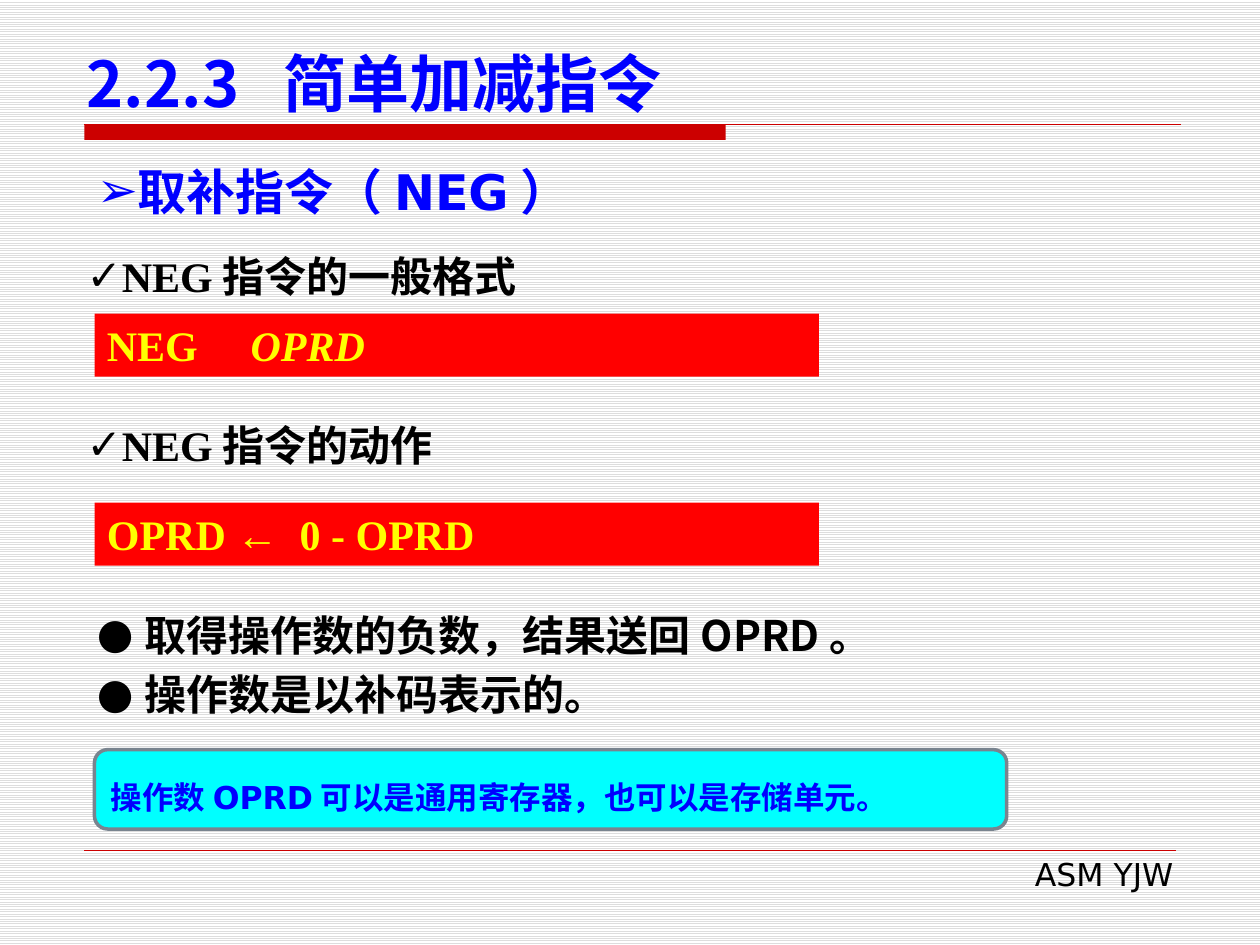
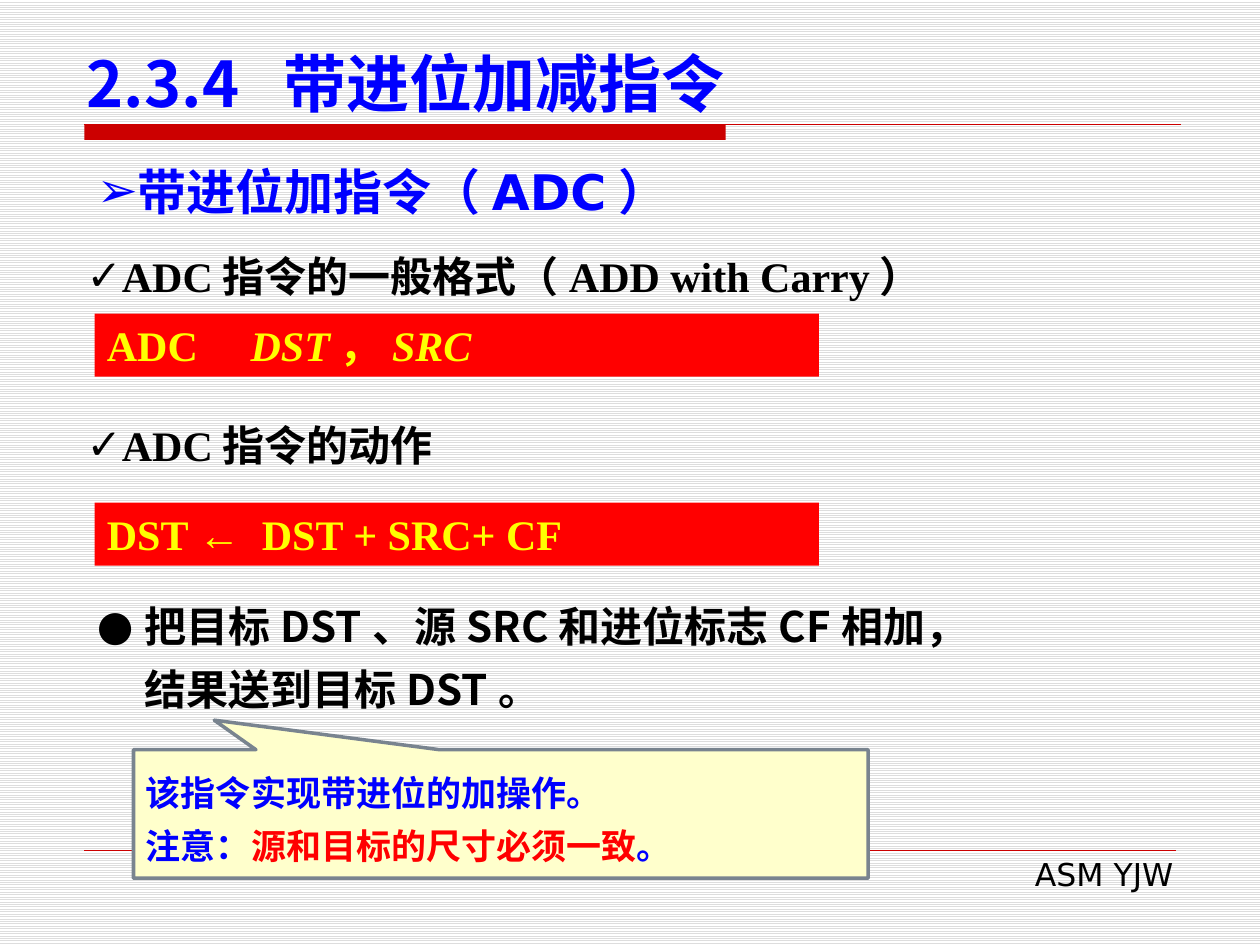
import pptx
import pptx.dml.color
import pptx.enum.dml
import pptx.enum.shapes
import pptx.enum.text
import pptx.oxml.ns
import pptx.util
from dataclasses import dataclass
from lxml import etree


@dataclass(frozen=True)
class Theme:
    blue: str = "0000FF"
    red: str = "FF0000"
    band: str = "CC0000"
    yellow: str = "FFFF00"
    cyan: str = "00FFFF"
    cream: str = "FFFFCC"
    outline: str = "79848F"
    black: str = "000000"
    stripe: str = "DDDDDD"
    white: str = "FFFFFF"
    sans: str = "DejaVu Sans"
    serif: str = "Times New Roman"
    cjk: str = "Noto Sans CJK SC"
    title: int = 36
    topic: int = 28
    body: int = 24
    callout: int = 20
    note: int = 18


theme = Theme()
rgb = pptx.dml.color.RGBColor.from_string
qn = pptx.oxml.ns.qn
Pt = pptx.util.Pt
SHAPE = pptx.enum.shapes.MSO_SHAPE
ALIGN = pptx.enum.text.PP_ALIGN
ANCHOR = pptx.enum.text.MSO_ANCHOR

# Grid of 10 columns by 7.5 rows
deck = pptx.Presentation()
deck.slide_width = pptx.util.Inches(10)
deck.slide_height = pptx.util.Inches(7.5)
COLUMN = deck.slide_width / 10
ROW = deck.slide_height / 7.5


def add_block(slide, area, shape=None, fill=None, outline=None, anchor=ANCHOR.TOP):
    """Place a text box or a filled shape on the grid."""
    left, top, width, height = area
    box = [int(left * COLUMN), int(top * ROW), int(width * COLUMN), int(height * ROW)]
    if shape is None:
        block = slide.shapes.add_textbox(*box)
    else:
        block = slide.shapes.add_shape(shape, *box)
        block.shadow.inherit = False
        block.fill.solid()
        block.fill.fore_color.rgb = rgb(fill)
        if outline:
            block.line.color.rgb = rgb(outline)
            block.line.width = Pt(2)
        else:
            block.line.fill.background()
    block.text_frame.word_wrap = True
    block.text_frame.vertical_anchor = anchor
    return block


def write(block, paragraphs, size, font, color, bold=True, align=ALIGN.LEFT,
          bullet=None, indent=0, tab=None, leading=None, gap=0):
    """Fill a block; each paragraph is a list of (text, run settings)."""
    frame = block.text_frame
    for number, pieces in enumerate(paragraphs):
        paragraph = frame.add_paragraph() if number else frame.paragraphs[0]
        paragraph.text = pieces[0][0]
        for text, _ in pieces[1:]:
            paragraph.add_run().text = text
        paragraph.alignment = align
        if leading:
            paragraph.line_spacing = Pt(leading)
        if number and gap:
            paragraph.space_before = Pt(gap)
        properties = paragraph._p.get_or_add_pPr()
        if bullet:
            properties.set("marL", str(int(indent * COLUMN)))
            properties.set("indent", str(-int(indent * COLUMN)))
            etree.SubElement(properties, qn("a:buFont"), typeface=theme.sans)
            etree.SubElement(properties, qn("a:buChar"), char=bullet)
        if tab:
            stops = etree.SubElement(properties, qn("a:tabLst"))
            etree.SubElement(stops, qn("a:tab"), pos=str(int(tab * COLUMN)), algn="l")
        # A line break splits the first piece into runs with equal settings
        extra = len(paragraph.runs) - len(pieces)
        settings = [pieces[0][1]] * extra + [setting for _, setting in pieces]
        for run, setting in zip(paragraph.runs, settings):
            run.font.size = Pt(size)
            run.font.name = font
            run.font.bold = bold
            run.font.italic = setting.get("italic", False)
            run.font.color.rgb = rgb(setting.get("color", color))
            etree.SubElement(run._r.get_or_add_rPr(), qn("a:ea"), typeface=theme.cjk)


ITALIC = {"italic": True}
lessons = [
    {
        "title": "2.2.3\t简单加减指令",
        "topic": "取补指令（NEG）",
        "format": "NEG指令的一般格式",
        "syntax": [("NEG\t", {}), ("OPRD", ITALIC)],
        "action": "NEG指令的动作",
        "effect": "OPRD ←\t0 - OPRD",
        "effect_tab": 1.53,
        "details": ["取得操作数的负数，结果送回OPRD。", "操作数是以补码表示的。"],
        "details_area": (0.67, 4.77, 9.08, 0.99),
        "details_leading": 30,
        "remark": [[("操作数OPRD可以是通用寄存器，也可以是存储单元。", {})]],
        "remark_area": (0.75, 5.95, 7.24, 0.63),
        "remark_look": (SHAPE.ROUNDED_RECTANGLE, theme.cyan, theme.note),
        "pointer": [],
    },
    {
        "title": "2.3.4\t带进位加减指令",
        "topic": "带进位加指令（ADC）",
        "format": "ADC指令的一般格式（ADD with Carry）",
        "syntax": [("ADC\t", {}), ("DST", ITALIC), ("，", {}), ("SRC", ITALIC)],
        "action": "ADC指令的动作",
        "effect": "DST ←\tDST + SRC+ CF",
        "effect_tab": 1.23,
        "details": ["把目标DST、源SRC和进位标志CF相加，\v结果送到目标DST。"],
        "details_area": (0.67, 4.62, 9.08, 1.11),
        "details_leading": 36,
        "remark": [
            [("该指令实现带进位的加操作。", {})],
            [("注意：", {}), ("源和目标的尺寸必须一致", {"color": theme.red}), ("。", {})],
        ],
        "remark_area": (1.06, 5.95, 5.83, 1.02),
        "remark_look": (SHAPE.RECTANGULAR_CALLOUT, theme.cream, theme.callout),
        "pointer": [-0.39, -0.73],
    },
]

for lesson in lessons:
    slide = deck.slides.add_slide(deck.slide_layouts[6])

    # Striped background
    stripes = slide.background.fill
    stripes.patterned()
    stripes.pattern = pptx.enum.dml.MSO_PATTERN.LIGHT_HORIZONTAL
    stripes.fore_color.rgb = rgb(theme.stripe)
    stripes.back_color.rgb = rgb(theme.white)

    # Title band, title rule and footer rule
    add_block(slide, (0.67, 0.99, 5.09, 0.12), SHAPE.RECTANGLE, theme.band)
    for end, level, weight in [(9.37, 0.99, 0.75), (9.33, 6.75, 0.25)]:
        rule = slide.shapes.add_connector(
            pptx.enum.shapes.MSO_CONNECTOR.STRAIGHT,
            int(0.67 * COLUMN), int(level * ROW), int(end * COLUMN), int(level * ROW))
        rule.line.color.rgb = rgb(theme.band)
        rule.line.width = Pt(weight)
        etree.SubElement(rule._element.spPr, qn("a:effectLst"))

    # Footer and title
    footer = add_block(slide, (3.82, 6.74, 5.59, 0.4))
    write(footer, [[("ASM YJW", {})]], theme.note, theme.sans, theme.black,
          bold=False, align=ALIGN.RIGHT)
    title = add_block(slide, (0.59, 0.29, 9.06, 0.71), anchor=ANCHOR.BOTTOM)
    write(title, [[(lesson["title"], {})]], theme.title, theme.cjk, theme.blue, tab=1.56)

    # Topic
    topic = add_block(slide, (0.67, 1.23, 8.66, 0.57))
    write(topic, [[(lesson["topic"], {})]], theme.topic, theme.sans, theme.blue,
          align=ALIGN.JUSTIFY, bullet="➢")

    # Format and action, each a heading above a red bar
    for heading, heading_top, code, code_top, tab in [
        (lesson["format"], 1.94, lesson["syntax"], 2.49, 1.14),
        (lesson["action"], 3.28, [(lesson["effect"], {})], 3.99, lesson["effect_tab"]),
    ]:
        label = add_block(slide, (0.59, heading_top, 8.67, 0.5))
        write(label, [[(heading, {})]], theme.body, theme.serif, theme.black, bullet="✓")
        bar = add_block(slide, (0.75, code_top, 5.75, 0.5), SHAPE.RECTANGLE, theme.red)
        write(bar, [code], theme.body, theme.serif, theme.yellow, tab=tab)

    # Details
    details = add_block(slide, lesson["details_area"])
    write(details, [[(text, {})] for text in lesson["details"]], theme.body, theme.cjk,
          theme.black, bullet="●", indent=0.38, leading=lesson["details_leading"], gap=4)

    # Remark
    outline_shape, fill, size = lesson["remark_look"]
    remark = add_block(slide, lesson["remark_area"], outline_shape, fill,
                       theme.outline, ANCHOR.MIDDLE)
    for index, share in enumerate(lesson["pointer"]):
        remark.adjustments[index] = share
    write(remark, lesson["remark"], size, theme.sans, theme.blue, leading=30)

deck.save("out.pptx")
